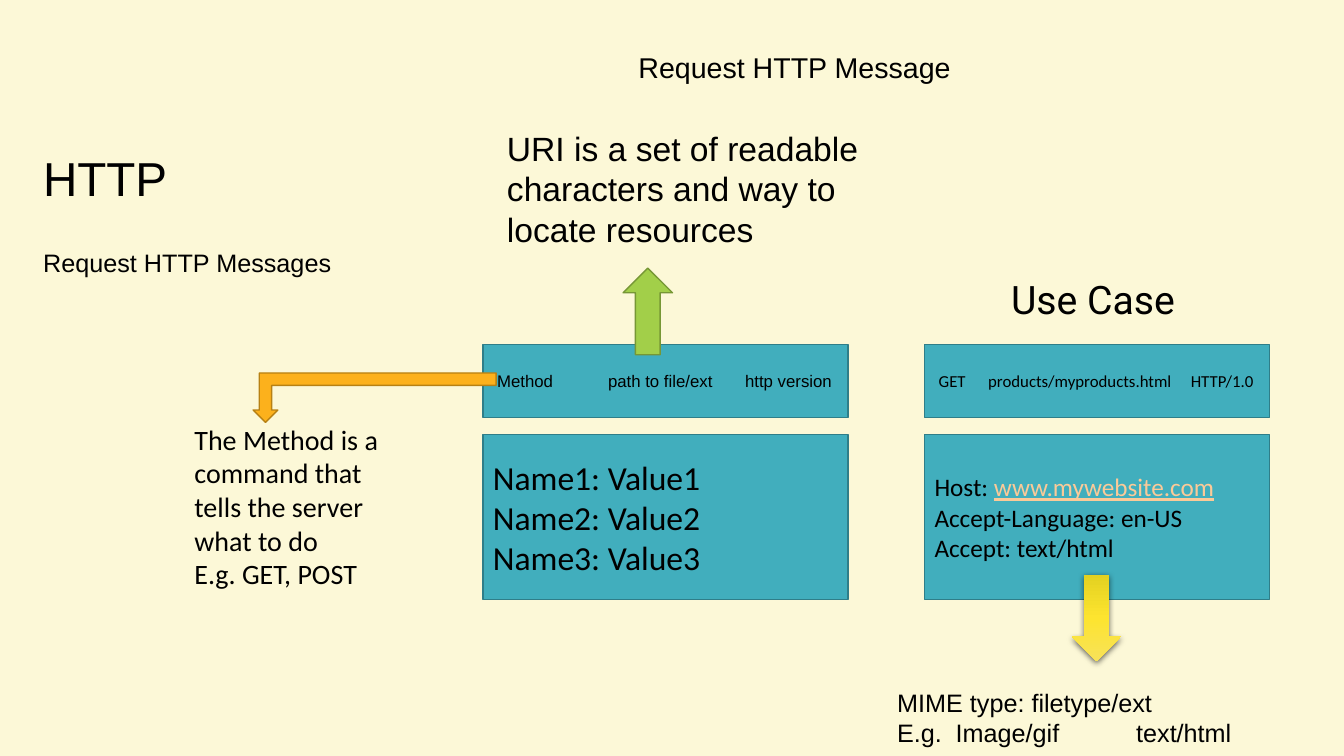
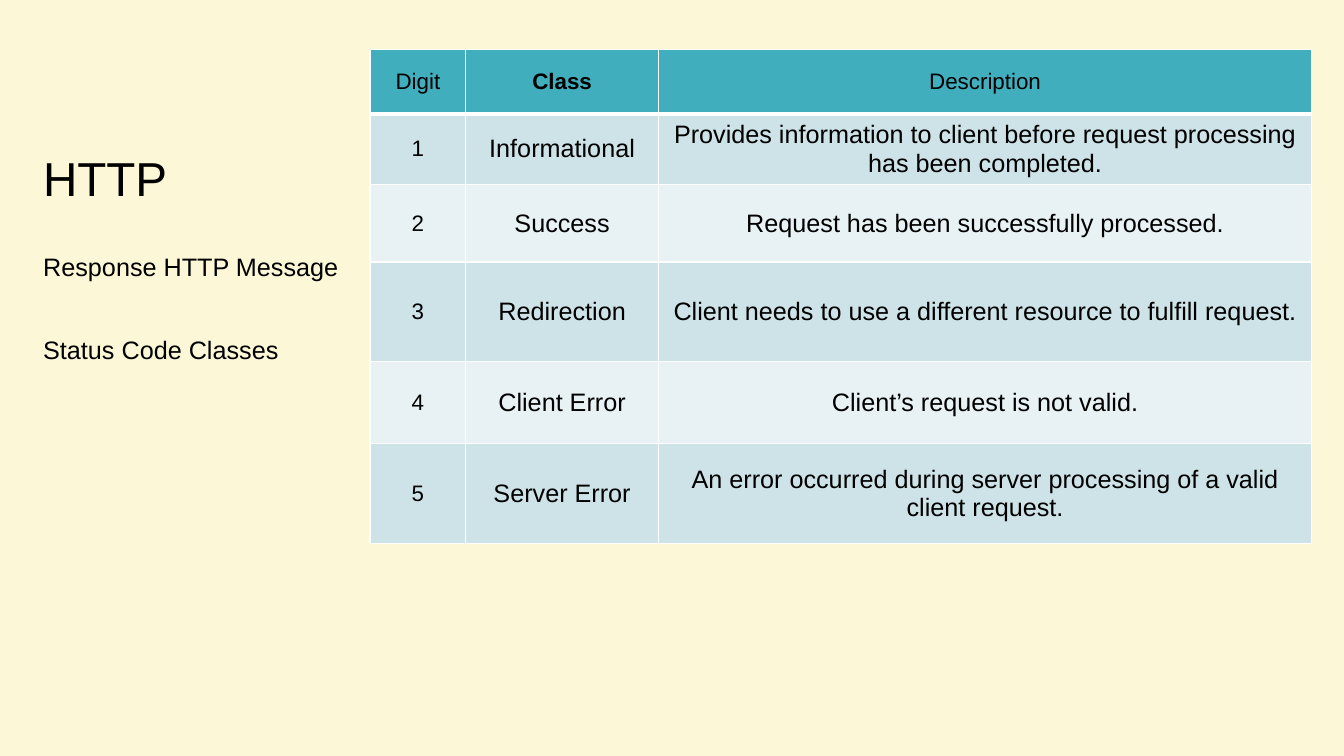
from collections import namedtuple

from pptx import Presentation
from pptx.dml.color import RGBColor
from pptx.enum.shapes import MSO_SHAPE
from pptx.enum.text import MSO_ANCHOR, PP_ALIGN
from pptx.oxml import parse_xml
from pptx.oxml.ns import nsdecls
from pptx.util import Emu, Pt

EMU_PER_PX = 9144
BLACK = RGBColor(0x00, 0x00, 0x00)
WHITE = RGBColor(0xFF, 0xFF, 0xFF)
CREAM = RGBColor(0xFC, 0xF8, 0xD7)
TEAL = RGBColor(0x41, 0xAE, 0xBD)
TEAL_EDGE = RGBColor(0x2F, 0x7E, 0x89)
TEAL_LIGHT = RGBColor(0xCD, 0xE3, 0xE7)
TEAL_PALE = RGBColor(0xE8, 0xF1, 0xF4)
LINK = RGBColor(0xFB, 0xCA, 0x98)
ORANGE = RGBColor(0xFC, 0xB1, 0x1C)
ORANGE_EDGE = RGBColor(0xB7, 0x81, 0x14)
GREEN = RGBColor(0xA2, 0xCF, 0x49)
GREEN_EDGE = RGBColor(0x76, 0x97, 0x35)
YELLOW_STOPS = (
    (0, RGBColor(0xE3, 0xD1, 0x20)),
    (50, RGBColor(0xFD, 0xE4, 0x2F)),
    (100, RGBColor(0xF7, 0xE2, 0x59)),
)
BODY_FONT = "Arial"
CODE_FONT = "Calibri"
HEADING_FONT = "Roboto"

Box = namedtuple("Box", "left top width height")

STATUS_CLASSES = (
    ("Digit", "Class", "Description"),
    ("1", "Informational", "Provides information to client before request processing has been completed."),
    ("2", "Success", "Request has been successfully processed."),
    ("3", "Redirection", "Client needs to use a different resource to fulfill request."),
    ("4", "Client Error", "Client’s request is not valid."),
    ("5", "Server Error", "An error occurred during server processing of a valid client request."),
)
STATUS_COLUMNS = (95, 191, 648)
STATUS_ROWS = (64, 68, 77, 99, 81, 99)


def px(length):
    """Turn whole pixels into EMU."""
    return Emu(length * EMU_PER_PX)


def place(box):
    """Return a box as four EMU lengths."""
    return [px(length) for length in box]


def inside(box, left, top, width, height):
    """Return a box whose corner is relative to another box."""
    return Box(box.left + left, box.top + top, width, height)


def set_text(frame, lines, *, size, font=BODY_FONT, color=BLACK, bold=False,
             align=PP_ALIGN.LEFT, anchor=MSO_ANCHOR.TOP, line_spacing=None,
             space_before=0, tabs=()):
    """Write lines, each a string or a list of (text, color, underline) runs."""
    frame.word_wrap = True
    frame.vertical_anchor = anchor
    for index, line in enumerate(lines):
        paragraph = frame.paragraphs[0] if index == 0 else frame.add_paragraph()
        paragraph.alignment = align
        if line_spacing:
            paragraph.line_spacing = line_spacing
        if index and space_before:
            paragraph.space_before = Pt(space_before)
        if tabs:
            stops = "".join(f'<a:tab pos="{px(tab)}" algn="l"/>' for tab in tabs)
            paragraph._p.get_or_add_pPr().append(
                parse_xml(f'<a:tabLst {nsdecls("a")}>{stops}</a:tabLst>'))
        runs = [(line, color, False)] if isinstance(line, str) else line
        for text, run_color, underline in runs:
            run = paragraph.add_run()
            run.text = text
            run.font.name = font
            run.font.size = Pt(size)
            run.font.bold = bold
            run.font.underline = underline
            run.font.color.rgb = run_color


def add_text(slide, box, lines, **text_format):
    """Add a text box."""
    set_text(slide.shapes.add_textbox(*place(box)).text_frame, lines, **text_format)


def add_block(slide, kind, box, fill, edge):
    """Add a flat preset shape with a thin outline."""
    shape = slide.shapes.add_shape(kind, *place(box))
    shape.shadow.inherit = False
    shape.fill.solid()
    shape.fill.fore_color.rgb = fill
    shape.line.color.rgb = edge
    shape.line.width = Pt(1)
    return shape


def add_glossy_arrow(slide, box):
    """Add a yellow gradient down arrow with a soft shadow."""
    shape = slide.shapes.add_shape(MSO_SHAPE.DOWN_ARROW, *place(box))
    shape.line.fill.background()
    shape.fill.gradient()
    gradient = shape._element.spPr.gradFill
    stops = "".join(
        f'<a:gs pos="{percent * 1000}"><a:srgbClr val="{color}"/></a:gs>'
        for percent, color in YELLOW_STOPS)
    gradient.getparent().replace(gradient, parse_xml(
        f'<a:gradFill {nsdecls("a")} rotWithShape="1"><a:gsLst>{stops}</a:gsLst>'
        '<a:lin ang="5400000" scaled="0"/></a:gradFill>'))
    shape._element.spPr.append(parse_xml(
        f'<a:effectLst {nsdecls("a")}><a:outerShdw blurRad="{Pt(4.5)}" dist="{Pt(1.5)}" '
        f'dir="5400000" rotWithShape="0"><a:srgbClr val="{BLACK}">'
        '<a:alpha val="62000"/></a:srgbClr></a:outerShdw></a:effectLst>'))


def add_slide(presentation):
    """Add a blank slide on the cream background."""
    slide = presentation.slides.add_slide(presentation.slide_layouts[6])
    slide.background.fill.solid()
    slide.background.fill.fore_color.rgb = CREAM
    return slide


def title_panel(slide, box, topics, topics_top):
    """Place the title and the topics below it."""
    add_text(slide, inside(box, 0, 0, 334, 175), ["HTTP"], size=34,
             anchor=MSO_ANCHOR.BOTTOM, line_spacing=0.9)
    add_text(slide, inside(box, 0, topics_top, box.width, box.height - topics_top),
             topics, size=18, line_spacing=0.9, space_before=40)


def message_column(slide, box, request, request_font, tabs, headers, headers_size):
    """Place a request line block above a header block."""
    request_height, headers_top = 72, 89
    blocks = (
        (0, request_height, [request], dict(size=12, font=request_font, tabs=tabs)),
        (headers_top, box.height - headers_top, headers, dict(size=headers_size, font=CODE_FONT)),
    )
    for top, height, lines, text_format in blocks:
        shape = add_block(slide, MSO_SHAPE.RECTANGLE,
                          inside(box, 0, top, box.width, height), TEAL, TEAL_EDGE)
        if "tabs" in text_format:
            shape.text_frame.margin_left = px(14)
            shape.text_frame.margin_right = 0
        set_text(shape.text_frame, lines, anchor=MSO_ANCHOR.MIDDLE, **text_format)


def method_note(slide, box):
    """Place the bent arrow and the note on the method."""
    arrow = add_block(slide, MSO_SHAPE.BENT_UP_ARROW, inside(box, 68, 0, 241, 49),
                      ORANGE, ORANGE_EDGE)
    arrow.rotation = 180
    add_text(slide, inside(box, 0, 44, 234, 178),
             ["The Method is a command that tells the server what to do", "E.g. GET, POST"],
             size=20, font=CODE_FONT)


def uri_note(slide, box):
    """Place the note on the URI and its up arrow."""
    add_text(slide, inside(box, 0, 0, box.width, 131),
             ["URI is a set of readable characters and way to locate resources"], size=24)
    add_block(slide, MSO_SHAPE.UP_ARROW, inside(box, 125, 144, 49, 86), GREEN, GREEN_EDGE)


def mime_note(slide, box):
    """Place the down arrow and the note on the MIME type."""
    add_glossy_arrow(slide, inside(box, 183, 0, 49, 86))
    add_text(slide, inside(box, 0, 107, box.width, 71),
             ["MIME type: filetype/ext", "E.g.\tImage/gif\ttext/html"],
             size=18, tabs=(58, 237))


def set_borders(cell, top, bottom):
    """Give a cell white borders, with top and bottom widths in points."""
    properties = cell._tc.get_or_add_tcPr()
    for side, width in (("L", 1), ("R", 1), ("T", top), ("B", bottom)):
        properties.append(parse_xml(
            f'<a:ln{side} {nsdecls("a")} w="{Pt(width)}"><a:solidFill>'
            f'<a:srgbClr val="{WHITE}"/></a:solidFill></a:ln{side}>'))


def status_table(slide, box):
    """Place the table of status code classes."""
    table = slide.shapes.add_table(len(STATUS_ROWS), len(STATUS_COLUMNS), *place(box)).table
    for column, width in zip(table.columns, STATUS_COLUMNS):
        column.width = px(width)
    for row_index, (height, texts) in enumerate(zip(STATUS_ROWS, STATUS_CLASSES)):
        table.rows[row_index].height = px(height)
        is_header = row_index == 0
        fill = TEAL if is_header else TEAL_LIGHT if row_index % 2 else TEAL_PALE
        for column_index, text in enumerate(texts):
            cell = table.cell(row_index, column_index)
            cell.vertical_anchor = MSO_ANCHOR.MIDDLE
            set_borders(cell, 3 if row_index == 1 else 1, 3 if is_header else 1)
            cell.fill.solid()
            cell.fill.fore_color.rgb = fill
            set_text(cell.text_frame, [text], align=PP_ALIGN.CENTER,
                     anchor=MSO_ANCHOR.MIDDLE,
                     size=16 if is_header or column_index == 0 else 18,
                     bold=is_header and column_index == 1)


def request_slide(presentation):
    """Build the slide on request messages."""
    slide = add_slide(presentation)
    title_panel(slide, Box(33, 35, 348, 258), ["Request HTTP Messages"], 209)
    message_column(slide, Box(479, 342, 362, 253),
                   "Method\tpath to file/ext\thttp version", BODY_FONT, (110, 246),
                   [f"Name{number}: Value{number}" for number in (1, 2, 3)], 24)
    message_column(slide, Box(917, 342, 342, 253),
                   "GET\tproducts/myproducts.html\tHTTP/1.0", CODE_FONT, (49, 250),
                   [[("Host: ", BLACK, False), ("www.mywebsite.com", LINK, True)],
                    "Accept-Language: en-US", "Accept: text/html"], 18)
    heading = dict(align=PP_ALIGN.CENTER, anchor=MSO_ANCHOR.MIDDLE, line_spacing=0.8)
    add_text(slide, Box(614, 45, 348, 49), ["Request HTTP Message"], size=20.4, **heading)
    add_text(slide, Box(910, 276, 348, 49), ["Use Case"], size=28, font=HEADING_FONT, **heading)
    method_note(slide, Box(183, 370, 309, 222))
    uri_note(slide, Box(493, 122, 387, 230))
    mime_note(slide, Box(880, 570, 411, 178))


def response_slide(presentation):
    """Build the slide on status code classes."""
    slide = add_slide(presentation)
    title_panel(slide, Box(33, 35, 348, 630),
                ["Response HTTP Message", "Status Code Classes"], 213)
    status_table(slide, Box(367, 49, sum(STATUS_COLUMNS), sum(STATUS_ROWS)))


def main():
    """Build and save the presentation."""
    presentation = Presentation()
    presentation.slide_width = px(1333)
    presentation.slide_height = px(750)
    request_slide(presentation)
    response_slide(presentation)
    presentation.save("out.pptx")


if __name__ == "__main__":
    main()
